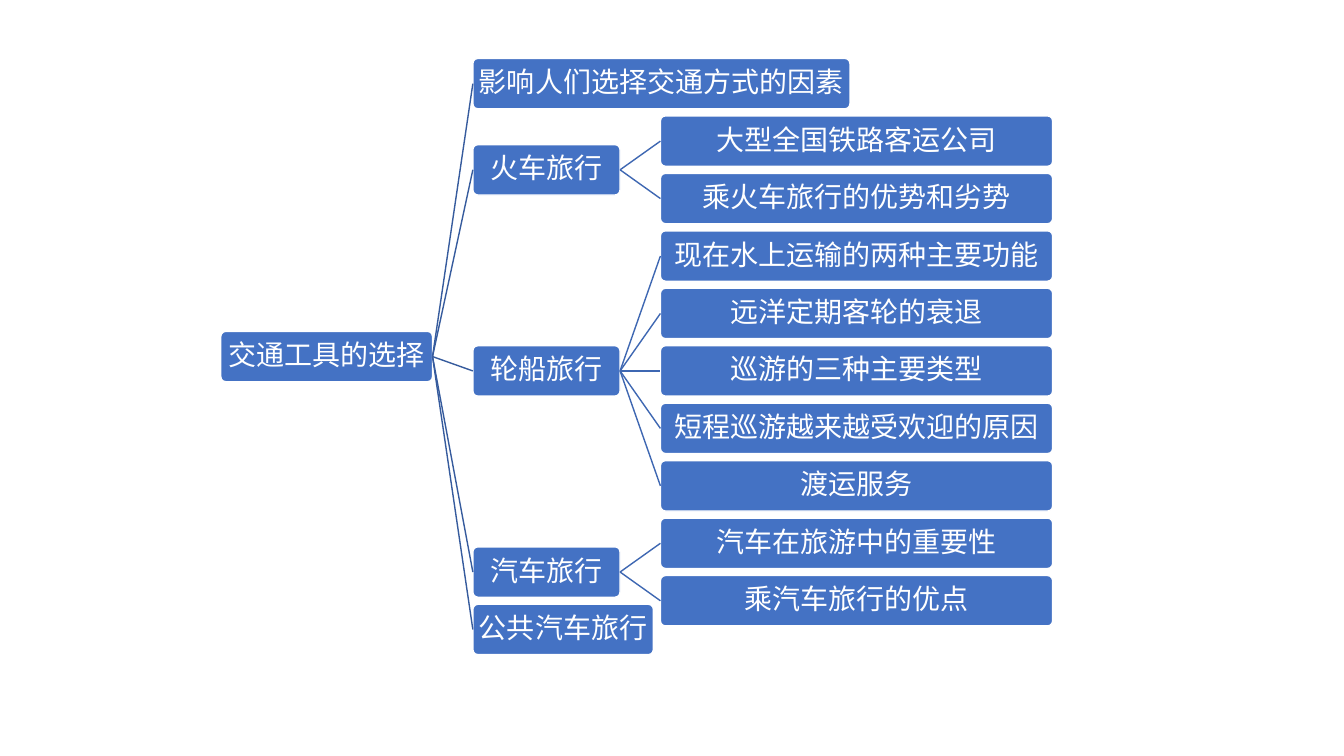
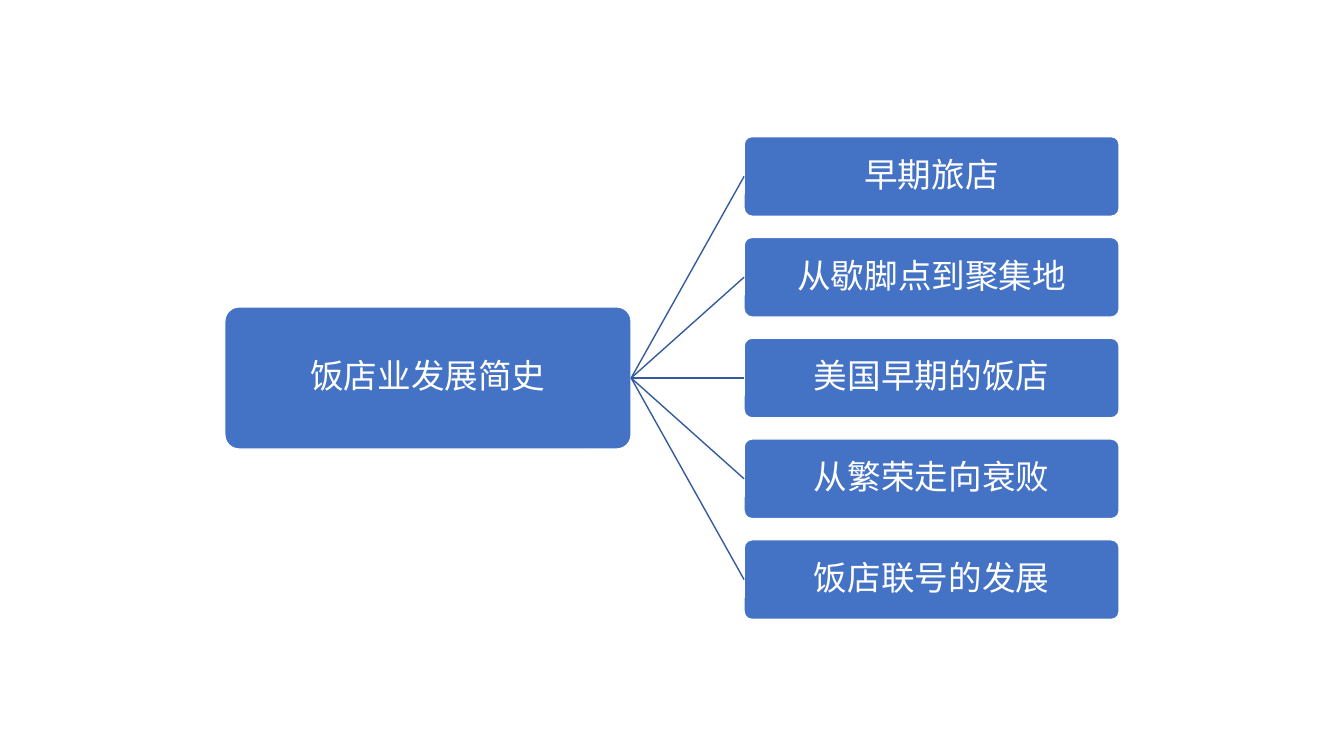
"""Build two tree diagrams on travel transport and hotel history."""
from lxml import etree
from pptx import Presentation
from pptx.dml.color import RGBColor
from pptx.enum import shapes, text
from pptx.oxml.ns import qn
from pptx.util import Inches, Pt

FONT = "Noto Sans CJK SC"
WHITE = RGBColor(0xFF, 0xFF, 0xFF)
BLUE = RGBColor(0x44, 0x72, 0xC4)
FIRST_LINK = RGBColor(0x36, 0x5B, 0x9D)
SECOND_LINK = RGBColor(0x3E, 0x67, 0xB2)

TRANSPORT = "交通工具的选择"
BRANCHES = [
    ("影响人们选择交通方式的因素", 3.74, 0, []),
    ("火车旅行", 1.46, 1.5, ["大型全国铁路客运公司", "乘火车旅行的优势和劣势"]),
    ("轮船旅行", 1.46, 5, [
        "现在水上运输的两种主要功能",
        "远洋定期客轮的衰退",
        "巡游的三种主要类型",
        "短程巡游越来越受欢迎的原因",
        "渡运服务",
    ]),
    ("汽车旅行", 1.46, 8.5, ["汽车在旅游中的重要性", "乘汽车旅行的优点"]),
    ("公共汽车旅行", 1.79, 9.5, []),
]
HOTELS = "饭店业发展简史"
PERIODS = ["早期旅店", "从歇脚点到聚集地", "美国早期的饭店", "从繁荣走向衰败", "饭店联号的发展"]


def add_node(page, label, left, middle, width, height, size):
    """Draw a labelled rounded box centred vertically on middle."""
    box = page.shapes.add_shape(
        shapes.MSO_SHAPE.ROUNDED_RECTANGLE,
        Inches(left), Inches(middle - height / 2), Inches(width), Inches(height))
    box.adjustments[0] = 0.1
    box.shadow.inherit = False
    box.fill.solid()
    box.fill.fore_color.rgb = BLUE
    box.line.color.rgb = WHITE
    box.line.width = Pt(1)
    frame = box.text_frame
    frame.word_wrap = True
    frame.vertical_anchor = text.MSO_ANCHOR.MIDDLE
    frame.margin_left = frame.margin_right = Inches(0.02)
    frame.margin_top = frame.margin_bottom = Inches(0.02)
    para = frame.paragraphs[0]
    para.alignment = text.PP_ALIGN.CENTER
    para.line_spacing = 0.9
    span = para.add_run()
    span.text = label
    span.font.size = Pt(size)
    span.font.name = FONT
    span.font.color.rgb = WHITE
    east_asian = etree.SubElement(span.font._element, qn("a:ea"))
    east_asian.set("typeface", FONT)
    return box


def add_link(page, parent, child, color):
    """Join the right side of parent to the left side of child."""
    link = page.shapes.add_connector(shapes.MSO_CONNECTOR.STRAIGHT, 0, 0, 0, 0)
    link.begin_connect(parent, 3)
    link.end_connect(child, 1)
    link.line.color.rgb = color
    link.line.width = Pt(1)
    etree.SubElement(link._element.spPr, qn("a:effectLst"))


def add_fan(page, parent, labels, left, middle, width, height, pitch, size, color):
    """Stack linked children evenly around the middle of their parent."""
    first = middle - pitch * (len(labels) - 1) / 2
    for index, label in enumerate(labels):
        child = add_node(page, label, left, first + index * pitch, width, height, size)
        add_link(page, parent, child, color)


def add_transport_tree(page, left, top):
    """Draw the three-level transport tree from its top left corner."""
    height, pitch, size = 0.5, 0.57, 20
    first = top + height / 2
    root = add_node(page, TRANSPORT, left, first + 4.75 * pitch, 2.1, height, size)
    for label, width, row, leaves in BRANCHES:
        middle = first + row * pitch
        branch = add_node(page, label, left + 2.5, middle, width, height, size)
        add_link(page, root, branch, FIRST_LINK)
        add_fan(page, branch, leaves, left + 4.36, middle, 3.89, height, pitch, size,
                SECOND_LINK)


def add_hotel_tree(page, left, middle):
    """Draw the two-level hotel tree around its horizontal axis."""
    size = 24
    root = add_node(page, HOTELS, left, middle, 4.03, 1.41, size)
    add_fan(page, root, PERIODS, left + 5.15, middle, 3.72, 0.79, 1, size, FIRST_LINK)


def main():
    """Build and save the deck."""
    deck = Presentation()
    deck.slide_width, deck.slide_height = Inches(13.33), Inches(7.5)
    blank = deck.slide_layouts[6]
    add_transport_tree(deck.slides.add_slide(blank), 2.19, 0.58)
    add_hotel_tree(deck.slides.add_slide(blank), 2.23, 3.75)
    deck.save("out.pptx")


if __name__ == "__main__":
    main()
